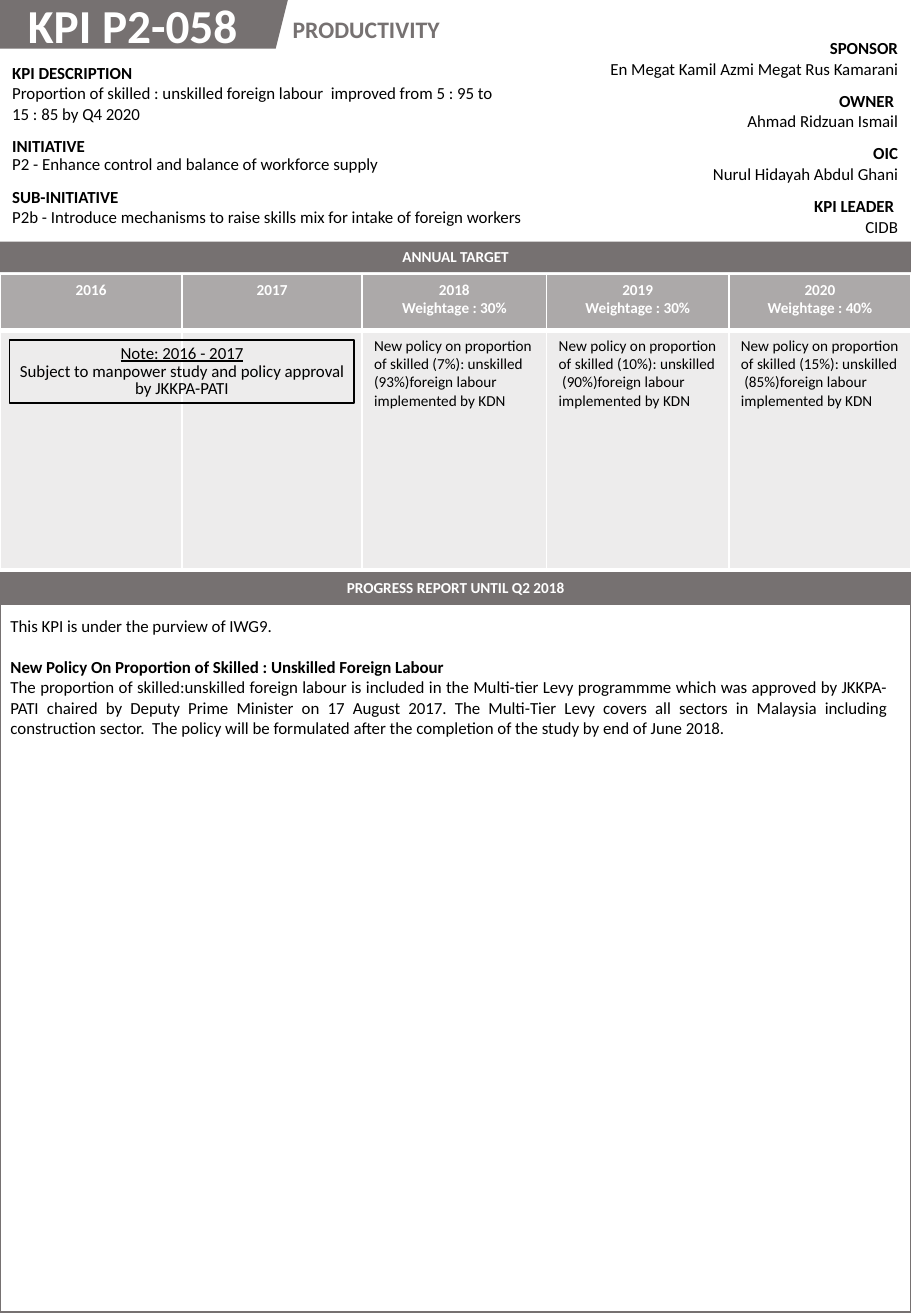
from dataclasses import dataclass

from lxml import etree
from pptx import Presentation
from pptx import util as u
from pptx.dml.color import RGBColor
from pptx.enum import shapes, text
from pptx.oxml import ns

# Content
KPI_CODE = "KPI P2-058"
PILLAR = "PRODUCTIVITY"
DETAILS = [
    ("KPI DESCRIPTION",
     "Proportion of skilled : unskilled foreign labour  improved from 5 : 95 to",
     "15 : 85 by Q4 2020"),
    ("INITIATIVE", "P2 - Enhance control and balance of workforce supply"),
    ("SUB-INITIATIVE",
     "P2b - Introduce mechanisms to raise skills mix for intake of foreign workers"),
]
PEOPLE = [
    ("SPONSOR", "En Megat Kamil Azmi Megat Rus Kamarani"),
    ("OWNER ", "Ahmad Ridzuan Ismail"),
    ("OIC", "Nurul Hidayah Abdul Ghani"),
    ("KPI LEADER ", "CIDB"),
]
POLICY = ("New policy on proportion of skilled ({0}%): unskilled  ({1}%)foreign labour "
          "implemented by KDN")
TARGETS = [  # year, weightage, skilled share (%)
    ("2016", None, None),
    ("2017", None, None),
    ("2018", "30%", 7),
    ("2019", "30%", 10),
    ("2020", "40%", 15),
]
NOTE = ("Note: 2016 - 2017",
        "Subject to manpower study and policy approval by JKKPA-PATI")
PROGRESS = (
    "This KPI is under the purview of IWG9.",
    "New Policy On Proportion of Skilled : Unskilled Foreign Labour",
    "The proportion of skilled:unskilled foreign labour is included in the Multi-tier Levy "
    "programmme which was approved by JKKPA-PATI chaired by Deputy Prime Minister on "
    "17 August 2017. The Multi-Tier Levy covers all sectors in Malaysia including "
    "construction sector.  The policy will be formulated after the completion of the study "
    "by end of June 2018.",
)
BARS = [("ANNUAL TARGET", 5.05), ("PROGRESS REPORT UNTIL Q2 2018", 11.96)]


@dataclass(frozen=True)
class Theme:
    font: str = "Calibri"
    grey: RGBColor = RGBColor(0x76, 0x71, 0x71)
    white: RGBColor = RGBColor(0xFF, 0xFF, 0xFF)
    black: RGBColor = RGBColor(0, 0, 0)
    code: float = 28
    pillar: float = 14
    body: float = 10
    small: float = 9
    header_alpha: int = 60
    cell_alpha: int = 13


T = Theme()
LEFT, CENTER, RIGHT, JUSTIFY = (text.PP_ALIGN.LEFT, text.PP_ALIGN.CENTER,
                                text.PP_ALIGN.RIGHT, text.PP_ALIGN.JUSTIFY)
TIGHT = 0.88
PAGE_W, PAGE_H = 19.05, 27.51

deck = Presentation()
deck.slide_width, deck.slide_height = u.Cm(PAGE_W), u.Cm(PAGE_H)
slide = deck.slides.add_slide(deck.slide_layouts[5])


def box(*lengths):
    return [u.Cm(length) for length in lengths]


def write(frame, lines, size=T.body, color=T.black, align=LEFT, bold=False):
    """Fill a text frame with one paragraph per line and return the paragraphs."""
    frame.text = "\n".join(lines)
    for paragraph in frame.paragraphs:
        paragraph.alignment = align
        font = paragraph.font
        font.name, font.size, font.bold = T.font, u.Pt(size), bold
        font.color.rgb = color
    return frame.paragraphs


def add_panel(kind, place, fill=None, line=None, width=1):
    panel = slide.shapes.add_shape(kind, *box(*place))
    panel.shadow.inherit = False
    if fill is None:
        panel.fill.background()
    else:
        panel.fill.solid()
        panel.fill.fore_color.rgb = fill
    if line is None:
        panel.line.fill.background()
    else:
        panel.line.color.rgb, panel.line.width = line, u.Pt(width)
    return panel


def add_grid(left, top, widths, heights):
    frame = slide.shapes.add_table(len(heights), len(widths),
                                   *box(left, top, sum(widths), sum(heights)))
    grid = frame.table
    grid.first_row = grid.horz_banding = False
    for column, width in zip(grid.columns, widths):
        column.width = u.Cm(width)
    for row, height in zip(grid.rows, heights):
        row.height = u.Cm(height)
    return grid


def add_facts(facts, left, top, width, heights, align):
    grid = add_grid(left, top, [width], heights)
    for row, lines in enumerate(facts):
        cell = grid.cell(row, 0)
        cell.fill.background()
        cell.margin_top, cell.margin_bottom = u.Cm(0.1), u.Cm(0.14)
        write(cell.text_frame, lines, align=align)[0].font.bold = True
    return grid


def style_target_cell(cell, alpha, top, bottom):
    """White borders (points) and a translucent grey fill."""
    cell.fill.solid()
    cell.fill.fore_color.rgb = T.grey
    properties = cell._tc.get_or_add_tcPr()
    shade = properties.find(".//" + ns.qn("a:srgbClr"))
    etree.SubElement(shade, ns.qn("a:alpha"), val=str(alpha * 1000))
    sides = {"a:lnL": 1, "a:lnR": 1, "a:lnT": top, "a:lnB": bottom}
    for index, (side, width) in enumerate(sides.items()):
        border = etree.Element(ns.qn(side), w=str(u.Pt(width)))
        solid = etree.SubElement(border, ns.qn("a:solidFill"))
        etree.SubElement(solid, ns.qn("a:srgbClr"), val=str(T.white))
        properties.insert(index, border)


# Code banner
add_panel(shapes.MSO_SHAPE.PARALLELOGRAM, (-0.43, 0, 6.45, 1.02), fill=T.grey)

# Annual targets
targets = add_grid(0, 5.74, [3.81, 3.76, 3.86, 3.81, 3.81], [1.17, 4.98])
for column, (year, weightage, skilled) in enumerate(TARGETS):
    heading, policy = targets.cell(0, column), targets.cell(1, column)
    style_target_cell(heading, T.header_alpha, 1, 3)
    style_target_cell(policy, T.cell_alpha, 3, 1)
    heading_lines = [year] + ([f"Weightage : {weightage}"] if weightage else [])
    write(heading.text_frame, heading_lines, T.small, T.white, CENTER, True)
    if skilled:
        write(policy.text_frame, [POLICY.format(skilled, 100 - skilled)], T.small)

# Progress frame
add_panel(shapes.MSO_SHAPE.RECTANGLE, (0, 12.62, PAGE_W, 14.81), line=T.grey, width=1.5)

# People and KPI details
add_facts(PEOPLE, 11.99, 0.71, 7.04, [1.1] * len(PEOPLE), RIGHT)
details = add_facts(DETAILS, 0, 1.22, 11.46, [1.52, 1.07, 1.1], LEFT)
details.cell(1, 0).text_frame.paragraphs[1].line_spacing = TIGHT

# Progress report
report = slide.shapes.add_textbox(*box(-0.03, 12.75, 18.82, 3.68)).text_frame
report.word_wrap = True
_, policy_heading, policy_status = write(report, PROGRESS)
policy_heading.font.bold = True
policy_heading.space_before = u.Pt(12.2)
policy_status.alignment = JUSTIFY

# Pillar and code
pillar = slide.shapes.add_textbox(*box(5.87, 0.18, 3.68, 0.86)).text_frame
pillar.word_wrap = False
write(pillar, [PILLAR], T.pillar, T.grey, bold=True)

code = slide.shapes.title
code.left, code.top, code.width, code.height = box(0.33, -0.2, 5.69, 1.45)
code.text_frame.auto_size = text.MSO_AUTO_SIZE.NONE
code.text_frame.vertical_anchor = text.MSO_ANCHOR.TOP
write(code.text_frame, [KPI_CODE], T.code, T.white, bold=True)
slide.shapes.element.append(code.element)  # bring in front of the banner

# Section bars
for label, top in BARS:
    bar = add_panel(shapes.MSO_SHAPE.RECTANGLE, (0, top, PAGE_W, 0.64), fill=T.grey)
    write(bar.text_frame, [label], T.small, T.white, CENTER, True)

# Note over 2016 and 2017
note = add_panel(shapes.MSO_SHAPE.RECTANGLE, (0.2, 7.11, 7.21, 1.32), line=T.black).text_frame
note.margin_left = note.margin_right = u.Cm(0.05)
note.margin_top = note.margin_bottom = u.Cm(0.1)
note_lines = write(note, NOTE, align=CENTER)
note_lines[0].font.underline = True
for paragraph in note_lines:
    paragraph.line_spacing = TIGHT

deck.save("out.pptx")
